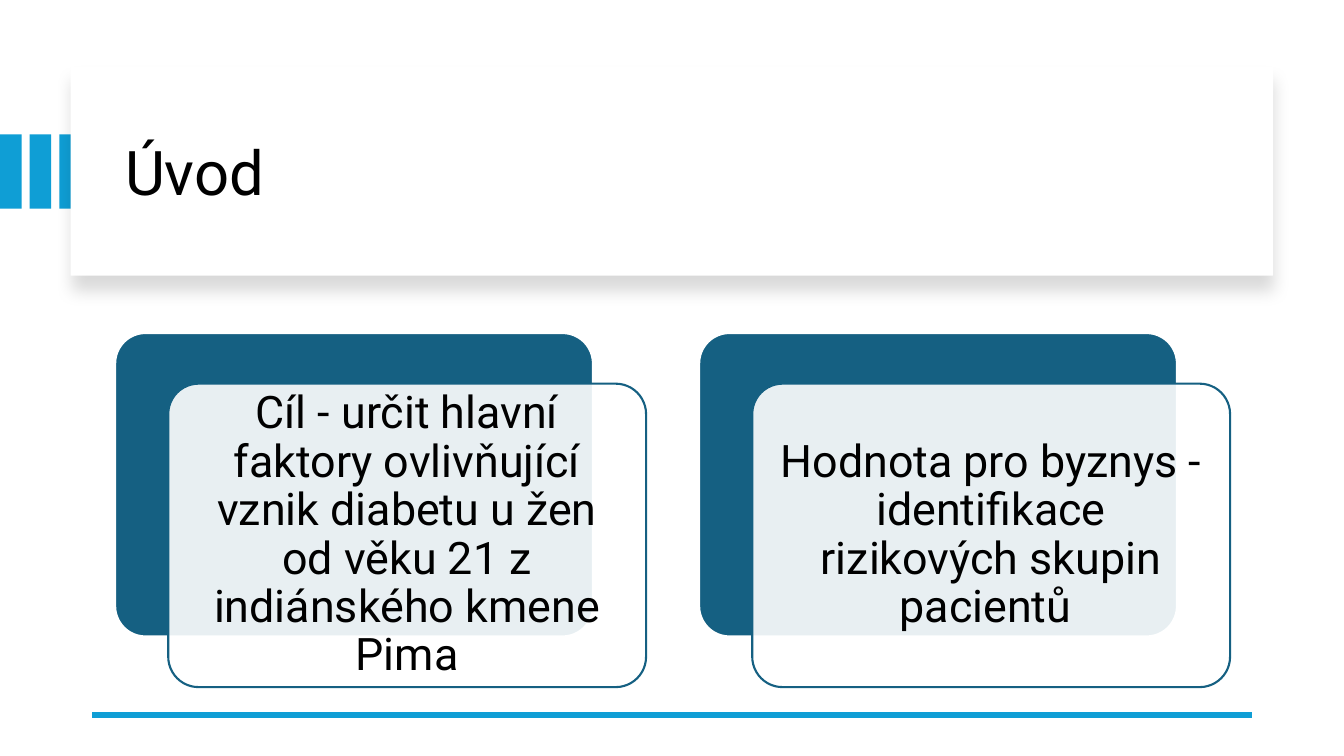
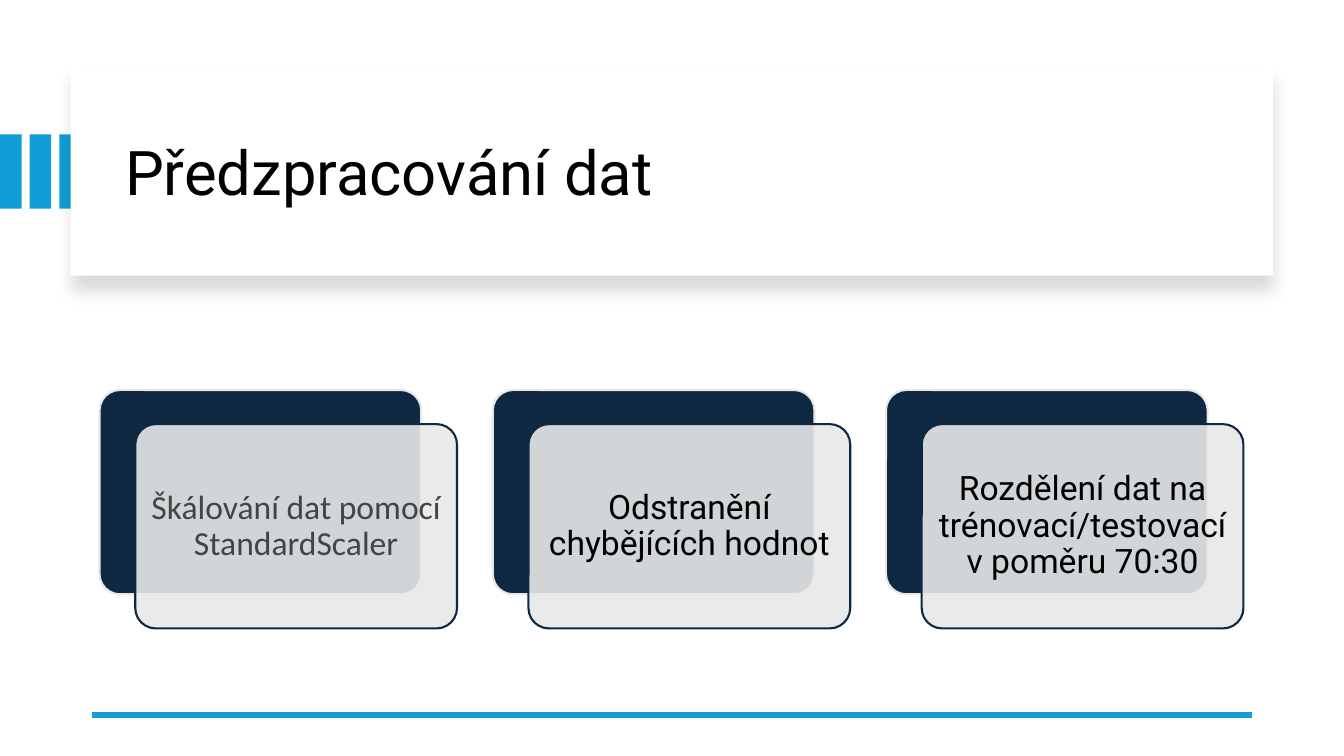
from dataclasses import dataclass

from lxml import etree
from pptx import Presentation
from pptx.dml.color import RGBColor
from pptx.enum.shapes import MSO_CONNECTOR, MSO_SHAPE
from pptx.enum.text import MSO_ANCHOR, PP_ALIGN
from pptx.oxml.ns import qn
from pptx.shapes.autoshape import Shape
from pptx.slide import Slide
from pptx.text.text import TextFrame
from pptx.util import Pt

RECT = MSO_SHAPE.RECTANGLE
ROUNDED = MSO_SHAPE.ROUNDED_RECTANGLE
STRAIGHT = MSO_CONNECTOR.STRAIGHT
MIDDLE = MSO_ANCHOR.MIDDLE
LEFT = PP_ALIGN.LEFT
CENTER = PP_ALIGN.CENTER


@dataclass(frozen=True)
class Theme:
    accent: str = "0F9ED5"
    teal: str = "156082"
    navy: str = "0E2841"
    white: str = "FFFFFF"
    pale: str = "E8E8E8"
    black: str = "000000"
    grey: str = "444444"
    font: str = "Roboto"
    alt_font: str = "Calibri"
    title_size: float = 44
    large_size: float = 32
    small_size: float = 24
    line_spacing: float = 0.9
    card_line: float = 1.5
    rule_line: float = 4.5
    card_opacity: int = 90


THEME = Theme()


@dataclass(frozen=True)
class Card:
    text: str
    font: str = THEME.font
    color: str = THEME.black


@dataclass(frozen=True)
class CardRow:
    left: float
    top: float
    width: float
    dark: str
    light: str
    size: float
    inset: float
    cards: tuple[Card, ...]


@dataclass(frozen=True)
class Page:
    title: str
    row: CardRow


PAGES = (
    Page("Úvod", CardRow(
        82.3, 237.9, 341.3, THEME.teal, THEME.white, THEME.large_size, 9.6,
        (
            Card("Cíl - určit hlavní faktory ovlivňující vznik diabetu "
                 "u žen od věku 21 z indiánského kmene Pima"),
            Card("Hodnota pro byznys - identifikace rizikových skupin pacientů "),
        ),
    )),
    Page("Předzpracování dat", CardRow(
        71.1, 278.6, 229.8, THEME.navy, THEME.pale, THEME.small_size, 7.2,
        (
            Card("Škálování dat pomocí StandardScaler", THEME.alt_font, THEME.grey),
            Card("Odstranění chybějících hodnot"),
            Card("Rozdělení dat na trénovací/testovací v poměru 70:30"),
        ),
    )),
)


def rgb(color: str) -> RGBColor:
    return RGBColor.from_string(color)


def add_box(s: Slide, kind: MSO_SHAPE, left: float, top: float, width: float,
            height: float, fill: str, line: str | None = None) -> Shape:
    sp = s.shapes.add_shape(kind, Pt(left), Pt(top), Pt(width), Pt(height))
    sp.shadow.inherit = False
    sp.fill.solid()
    sp.fill.fore_color.rgb = rgb(fill)
    if line is None:
        sp.line.fill.background()
    else:
        sp.line.color.rgb = rgb(line)
        sp.line.width = Pt(THEME.card_line)
    return sp


def add_alpha(color: etree.ElementBase, percent: int) -> None:
    etree.SubElement(color, qn("a:alpha"), val=str(percent * 1000))


def add_shadow(sp: Shape, opacity: int, blur: float, distance: float) -> None:
    effects = sp._element.spPr.find(qn("a:effectLst"))
    shadow = etree.SubElement(
        effects, qn("a:outerShdw"), blurRad=str(Pt(blur)),
        dist=str(Pt(distance)), dir="5400000", algn="t", rotWithShape="0")
    color = etree.SubElement(shadow, qn("a:srgbClr"), val=THEME.black)
    add_alpha(color, opacity)


def write(tf: TextFrame, text: str, size: float, font: str, color: str,
          align: PP_ALIGN) -> None:
    tf.word_wrap = True
    tf.vertical_anchor = MIDDLE
    p = tf.paragraphs[0]
    p.text = text
    p.alignment = align
    p.line_spacing = THEME.line_spacing
    p.font.size = Pt(size)
    p.font.name = font
    p.font.color.rgb = rgb(color)


def add_frame(s: Slide, title: str) -> None:
    for i in range(3):
        add_box(s, RECT, 21.2 * i, 96, 15.4, 53, THEME.accent)
    panel = add_box(s, RECT, 50.4, 48, 859, 149, THEME.white)
    add_shadow(panel, 15, 11, 10)
    sp = s.shapes.add_textbox(Pt(82.3), Pt(64), Pt(801.4), Pt(122.4))
    write(sp.text_frame, title, THEME.title_size, THEME.font, THEME.black, LEFT)
    rule = s.shapes.add_connector(STRAIGHT, Pt(894), Pt(510.5), Pt(66), Pt(510.5))
    rule.line.color.rgb = rgb(THEME.accent)
    rule.line.width = Pt(THEME.rule_line)
    etree.SubElement(rule._element.spPr, qn("a:effectLst"))


def add_cards(s: Slide, row: CardRow) -> None:
    width, height = row.width, row.width * 0.635
    shift_x, shift_y = width / 9, width * 0.106
    for i, card in enumerate(row.cards):
        left = row.left + i * (width + 2 * shift_x)
        back = add_box(s, ROUNDED, left, row.top, width, height, row.dark, row.light)
        front = add_box(s, ROUNDED, left + shift_x, row.top + shift_y,
                        width, height, row.light, row.dark)
        for sp in (back, front):
            sp.adjustments[0] = 0.1
        add_alpha(front._element.spPr.find(qn("a:solidFill"))[0], THEME.card_opacity)
        tf = front.text_frame
        tf.margin_left = tf.margin_right = Pt(row.inset)
        tf.margin_top = tf.margin_bottom = Pt(row.inset)
        write(tf, card.text, row.size, card.font, card.color, CENTER)


def main() -> None:
    prs = Presentation()
    prs.slide_width, prs.slide_height = Pt(960), Pt(540)
    for page in PAGES:
        s = prs.slides.add_slide(prs.slide_layouts[6])
        add_frame(s, page.title)
        add_cards(s, page.row)
    prs.save("out.pptx")


if __name__ == "__main__":
    main()
